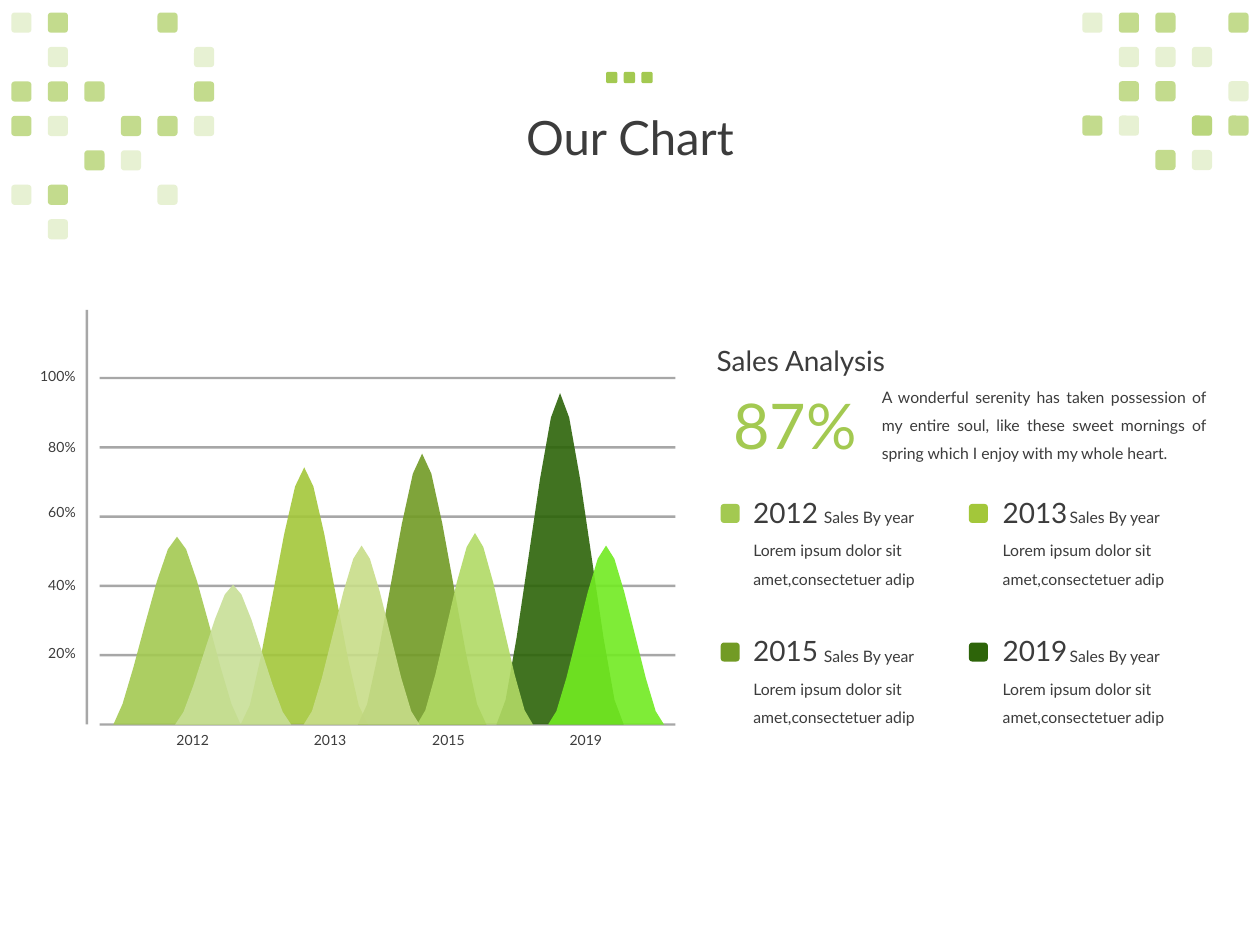
import dataclasses
import typing

import lxml.etree
import pptx
import pptx.dml.color
import pptx.enum.shapes
import pptx.enum.text
import pptx.oxml.ns
import pptx.shapes.autoshape
import pptx.util

Inches = pptx.util.Inches
RGBColor = pptx.dml.color.RGBColor
Align = pptx.enum.text.PP_ALIGN
Preset = pptx.enum.shapes.MSO_SHAPE

FONT = "Lato"
INK = RGBColor(0x3C, 0x3C, 0x3C)
GRID = RGBColor(0x9E, 0x9E, 0x9E)
LEAF = RGBColor(0xA3, 0xC9, 0x51)
LIME = RGBColor(0xA3, 0xC7, 0x3A)
OLIVE = RGBColor(0x72, 0x9B, 0x25)
FOREST = RGBColor(0x2D, 0x64, 0x09)
MIST = RGBColor(0xC8, 0xDF, 0x97)
NEON = RGBColor(0x72, 0xEB, 0x22)
SPRING = RGBColor(0xB1, 0xDA, 0x65)
SAND = RGBColor(0xC8, 0xDD, 0x89)

BASELINE = 5.75
CURVE_STEPS = 6
TILE_OPACITIES = {".": (), "+": (25,), "#": (65,), "*": (65, 25)}


@dataclasses.dataclass(frozen=True)
class Peak:
    left: float
    top: float
    width: float
    color: RGBColor
    shoulder: float = 0


@dataclasses.dataclass(frozen=True)
class Mosaic:
    left: float
    first_top: float
    last_top: float
    rows: tuple[str, ...]


@dataclasses.dataclass(frozen=True)
class YearCard:
    year: str
    color: RGBColor
    marker_left: float
    text_left: float
    caption_left: float
    drop: float


@dataclasses.dataclass(frozen=True)
class AxisLabel:
    text: str
    left: float
    top: float
    width: float
    align: typing.Any


PEAKS = (
    Peak(0.9, 4.26, 1.01, LEAF, 0.15),
    Peak(3.94, 3.12, 1.01, FOREST),
    Peak(1.91, 3.71, 1.01, LIME),
    Peak(2.84, 3.6, 1.02, OLIVE),
    Peak(1.39, 4.64, 0.92, MIST, 0.05),
    Peak(4.35, 4.33, 0.92, NEON),
    Peak(3.31, 4.23, 0.92, SPRING),
    Peak(2.41, 4.33, 0.92, SAND),
)

MOSAICS = (
    Mosaic(0.09, 0.1, 1.74,
           ("+#..#.", ".+...+", "###..#", "#+.##+", "..#+..", "+#..+.", ".+....")),
    Mosaic(8.59, 0.1, 1.19, ("+##.#", ".+++.", ".##.+", "#+.*#", "..#+.")),
)

CARDS = (
    YearCard("2012", LEAF, 5.72, 5.88, 6.44, 0),
    YearCard("2013", LIME, 7.69, 7.86, 8.39, 0),
    YearCard("2015", OLIVE, 5.72, 5.88, 6.44, 1.1),
    YearCard("2019", FOREST, 7.69, 7.86, 8.39, 1.1),
)

AXIS_LABELS = (
    AxisLabel("20%", 0.28, 5.07, 0.42, Align.RIGHT),
    AxisLabel("40%", 0.28, 4.53, 0.42, Align.RIGHT),
    AxisLabel("60%", 0.28, 3.95, 0.42, Align.RIGHT),
    AxisLabel("80%", 0.28, 3.43, 0.42, Align.RIGHT),
    AxisLabel("100%", 0.21, 2.87, 0.49, Align.RIGHT),
    AxisLabel("2012", 1.3, 5.76, 0.46, Align.CENTER),
    AxisLabel("2013", 2.39, 5.76, 0.46, Align.CENTER),
    AxisLabel("2015", 3.33, 5.76, 0.46, Align.CENTER),
    AxisLabel("2019", 4.42, 5.76, 0.46, Align.CENTER),
)


def paint(shape: pptx.shapes.autoshape.Shape, color: RGBColor, opacity: int = 100) -> None:
    shape.shadow.inherit = False
    shape.fill.solid()
    shape.fill.fore_color.rgb = color
    shape.line.fill.background()
    if opacity < 100:
        qualify = pptx.oxml.ns.qn
        tint = shape.element.spPr.find(qualify("a:solidFill")).find(qualify("a:srgbClr"))
        lxml.etree.SubElement(tint, qualify("a:alpha")).set("val", str(opacity * 1000))


def draw_block(shapes: typing.Any, preset: typing.Any, left: float, top: float,
               width: float, height: float, color: RGBColor, opacity: int = 100) -> None:
    block = shapes.add_shape(preset, Inches(left), Inches(top), Inches(width), Inches(height))
    paint(block, color, opacity)


def write_span(para: typing.Any, text: str, size: float, color: RGBColor = INK) -> None:
    span = para.add_run()
    span.text = text
    span.font.name = FONT
    span.font.size = pptx.util.Pt(size)
    span.font.color.rgb = color


def draw_text(shapes: typing.Any, text: str, left: float, top: float, width: float,
              height: float, size: float, color: RGBColor = INK, align: typing.Any = Align.LEFT,
              spacing: float = 1.0, wrap: bool = True) -> None:
    box = shapes.add_textbox(Inches(left), Inches(top), Inches(width), Inches(height))
    box.text_frame.word_wrap = wrap
    para = box.text_frame.paragraphs[0]
    para.alignment = align
    para.line_spacing = spacing
    write_span(para, text, size, color)


def draw_peak(shapes: typing.Any, peak: Peak) -> None:
    half = peak.width / 2
    height = BASELINE - peak.top
    rise = []
    for step in range(CURVE_STEPS + 1):
        t = step / CURVE_STEPS
        u = 1 - t
        across = half * (3 * u * u * t * 0.25 + 3 * u * t * t * 0.75 + t ** 3)
        up = 3 * u * u * t * peak.shoulder + (3 * u * t * t + t ** 3) * height
        rise.append((across, up))
    fall = [(peak.width - across, up) for across, up in reversed(rise[:-1])]
    points = [(Inches(peak.left + across), Inches(BASELINE - up)) for across, up in rise + fall]
    builder = shapes.build_freeform(*points[0])
    builder.add_line_segments(points[1:], close=True)
    paint(builder.convert_to_shape(), peak.color, 90)


def draw_mosaic(shapes: typing.Any, mosaic: Mosaic) -> None:
    group = shapes.add_group_shape()
    pitch = (mosaic.last_top - mosaic.first_top) / (len(mosaic.rows) - 1)
    for row, marks in enumerate(mosaic.rows):
        for column, mark in enumerate(marks):
            for opacity in TILE_OPACITIES[mark]:
                draw_block(group.shapes, Preset.ROUNDED_RECTANGLE, mosaic.left + 0.29 * column,
                           mosaic.first_top + pitch * row, 0.16, 0.16, LEAF, opacity)


def draw_card(shapes: typing.Any, card: YearCard) -> None:
    draw_text(shapes, card.year, card.text_left, 3.88 + card.drop, 0.9, 0.41, 16)
    draw_text(shapes, "Sales By year", card.caption_left, 3.98 + card.drop, 1.12, 0.22, 9)
    draw_text(shapes, "Lorem ipsum dolor sit amet,consectetuer adip",
              card.text_left, 4.17 + card.drop, 1.65, 0.53, 9, spacing=1.5)
    draw_block(shapes, Preset.ROUNDED_RECTANGLE, card.marker_left, 4 + card.drop,
               0.15, 0.15, card.color)


deck = pptx.Presentation()
deck.slide_width, deck.slide_height = Inches(10), Inches(7.5)
page = deck.slides.add_slide(deck.slide_layouts.get_by_name("Title Only"))

title = page.shapes.title
title.left, title.top, title.width, title.height = map(Inches, (0.69, 0.39, 8.62, 1.45))
title.text_frame.vertical_anchor = pptx.enum.text.MSO_ANCHOR.MIDDLE
title_para = title.text_frame.paragraphs[0]
title_para.alignment = Align.CENTER
title_para.line_spacing = 0.9
write_span(title_para, "Our Chart", 27)

for line in range(6):
    draw_block(page.shapes, Preset.RECTANGLE, 0.79, 2.99 + 0.55 * line, 4.57, 0.02, GRID, 90)
draw_block(page.shapes, Preset.RECTANGLE, 0.68, 2.46, 0.02, 3.29, GRID, 90)
for peak in PEAKS:
    draw_peak(page.shapes, peak)
for label in AXIS_LABELS:
    draw_text(page.shapes, label.text, label.left, label.top, label.width, 0.24, 8,
              align=label.align, wrap=False)

for card in CARDS:
    draw_card(page.shapes, card)
draw_text(page.shapes, "Sales Analysis", 5.59, 2.68, 1.63, 0.37, 16, wrap=False)
draw_text(page.shapes, "A wonderful serenity has taken possession of my entire soul, like these "
          "sweet mornings of spring which I enjoy with my whole heart.",
          6.9, 2.95, 2.77, 0.75, 9, align=Align.JUSTIFY, spacing=1.5)
draw_text(page.shapes, "87%", 5.72, 3.02, 1.2, 0.71, 36, LEAF, wrap=False)

for mosaic in MOSAICS:
    draw_mosaic(page.shapes, mosaic)
title_dots = page.shapes.add_group_shape()
for dot in range(3):
    draw_block(title_dots.shapes, Preset.ROUNDED_RECTANGLE, 4.81 + 0.14 * dot, 0.57,
               0.09, 0.09, LEAF)

deck.save("out.pptx")
